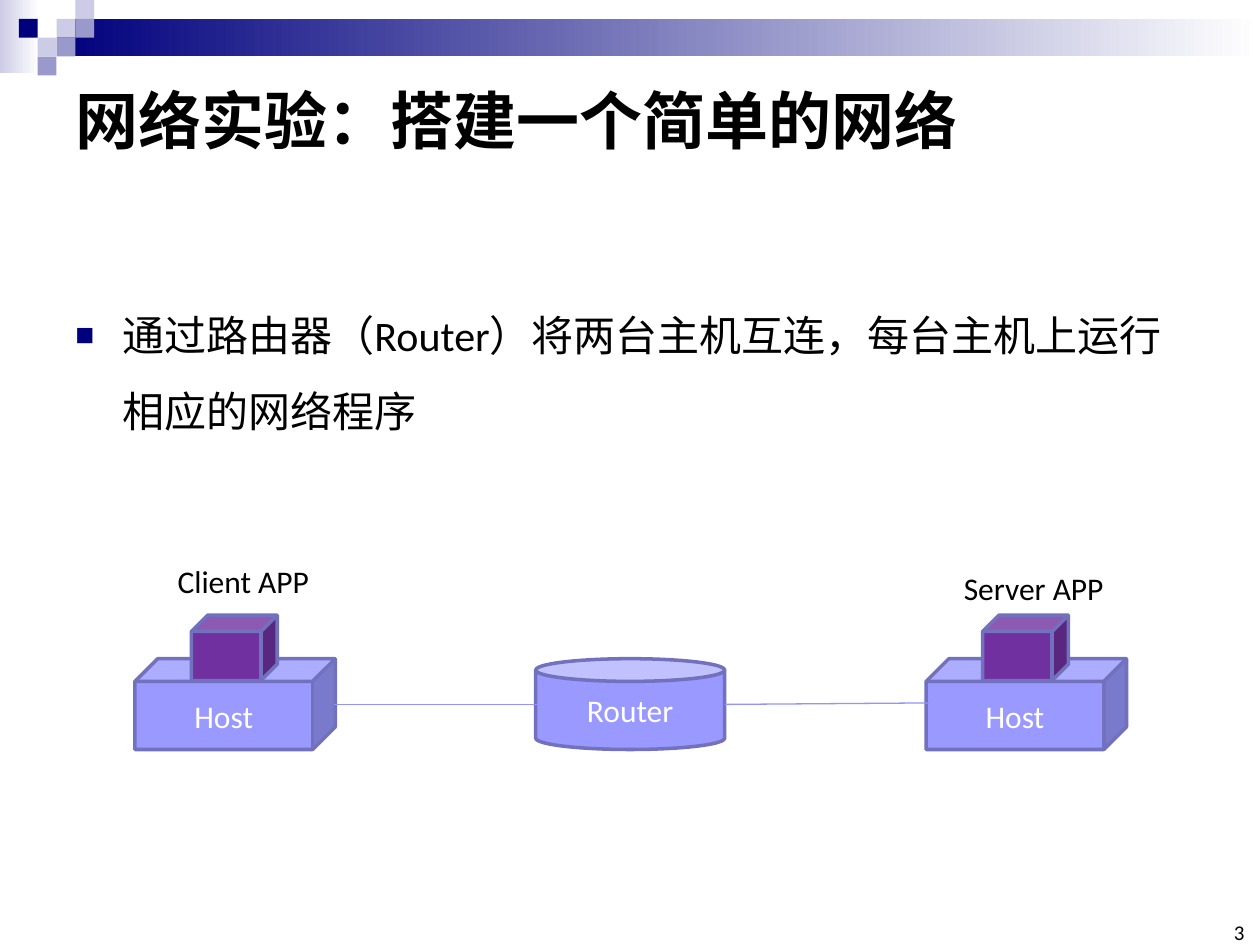
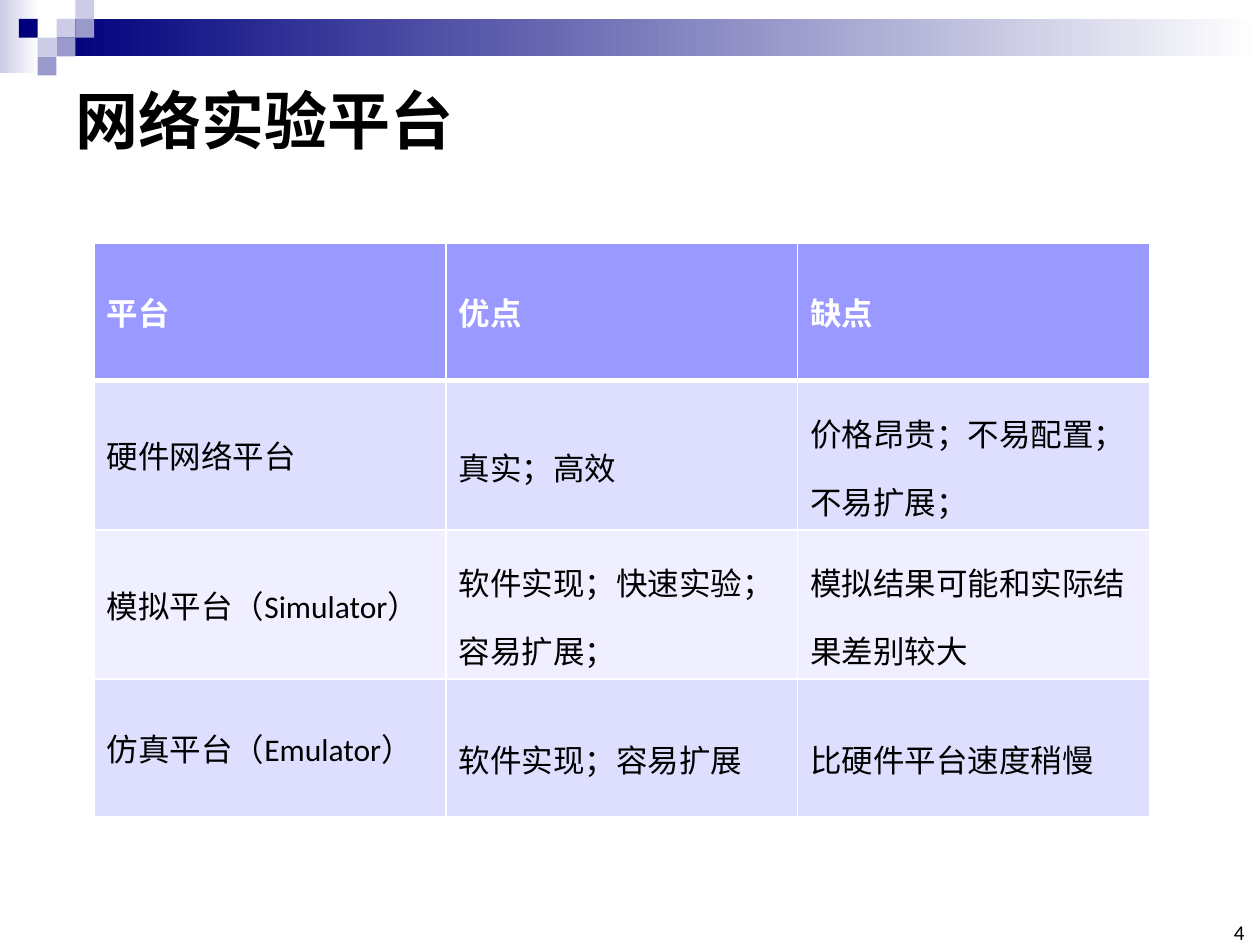
import pptx
import pptx.dml.color
import pptx.enum.shapes
import pptx.enum.text
import pptx.oxml.ns
import pptx.util
from lxml import etree

Cm = pptx.util.Cm
Pt = pptx.util.Pt
SHAPES = pptx.enum.shapes.MSO_SHAPE
ALIGN = pptx.enum.text.PP_ALIGN
ANCHOR = pptx.enum.text.MSO_ANCHOR
qn = pptx.oxml.ns.qn

FONT = "Calibri"
COLORS = {
    "navy": "00007D", "mist": "CCCCE6", "slate": "9999CC",
    "white": "FFFFFF", "black": "000000",
    "device": "9999FF", "edge": "7171BD", "cable": "9393FC", "app": "7030A0",
    "row_dark": "DEDEFF", "row_light": "EFEFFF",
}
SQUARE = 0.38  # side of a mosaic square, cm
MOSAIC = [  # column, row, colour
    (4, 0, "mist"),
    (1, 1, "navy"), (3, 1, "mist"), (4, 1, "slate"),
    (2, 2, "mist"), (3, 2, "slate"),
    (2, 3, "slate"),
]
PLATFORMS = [
    ("平台", "优点", "缺点"),
    ("硬件网络平台", "真实；高效", "价格昂贵；不易配置；不易扩展；"),
    ("模拟平台（Simulator）", "软件实现；快速实验；容易扩展；", "模拟结果可能和实际结果差别较大"),
    ("仿真平台（Emulator）", "软件实现；容易扩展", "比硬件平台速度稍慢"),
]
COLUMN_WIDTH = 7.09
ROW_HEIGHTS = (2.77, 3.01, 3.01, 2.77)  # rows with two-line cells are taller


def rgb(name):
    return pptx.dml.color.RGBColor.from_string(COLORS[name])


def write_text(frame, text, size=18, color="black", bold=False, align=ALIGN.LEFT,
               anchor=ANCHOR.TOP, spacing=None, wrap=True):
    frame.word_wrap = wrap
    frame.vertical_anchor = anchor
    para = frame.paragraphs[0]
    para.alignment = align
    if spacing:
        para.line_spacing = spacing
    span = para.add_run()
    span.text = text
    span.font.name = FONT
    span.font.size = Pt(size)
    span.font.bold = bold
    span.font.color.rgb = rgb(color)
    return para


def add_text(page, text, left, top, width, height, **text_format):
    box = page.shapes.add_textbox(Cm(left), Cm(top), Cm(width), Cm(height))
    write_text(box.text_frame, text, **text_format)
    return box


def add_block(page, kind, left, top, width, height, fill, edge=None, label=None):
    block = page.shapes.add_shape(kind, Cm(left), Cm(top), Cm(width), Cm(height))
    block.shadow.inherit = False
    if isinstance(fill, tuple):
        block.fill.gradient()
        block.fill.gradient_angle = 0
        for stop, name in zip(block.fill.gradient_stops, fill):
            stop.color.rgb = rgb(name)
    else:
        block.fill.solid()
        block.fill.fore_color.rgb = rgb(fill)
    if edge:
        block.line.color.rgb = rgb(edge)
        block.line.width = Pt(2)
    else:
        block.line.fill.background()
    if label:
        write_text(block.text_frame, label, color="white",
                   align=ALIGN.CENTER, anchor=ANCHOR.MIDDLE)
    return block


def add_cable(page, start, end):
    cable = page.shapes.add_connector(
        pptx.enum.shapes.MSO_CONNECTOR.STRAIGHT, *map(Cm, start + end))
    cable.line.color.rgb = rgb("cable")
    cable.line.width = Pt(0.75)
    etree.SubElement(cable._element.spPr, qn("a:effectLst"))


def add_bullet(para, indent):
    properties = para._p.get_or_add_pPr()
    properties.set("marL", str(Cm(indent)))
    properties.set("indent", str(-Cm(indent)))
    color = etree.SubElement(properties, qn("a:buClr"))
    etree.SubElement(color, qn("a:srgbClr"), val=COLORS["navy"])
    etree.SubElement(properties, qn("a:buSzPct"), val="75000")
    etree.SubElement(properties, qn("a:buFont"), typeface="Arial")
    etree.SubElement(properties, qn("a:buChar"), char="■")


def set_borders(cell, **widths):
    properties = cell._tc.get_or_add_tcPr()
    for side in "LRTB":
        line = etree.SubElement(properties, qn(f"a:ln{side}"),
                                w=str(Pt(widths.get(side, 1))))
        fill = etree.SubElement(line, qn("a:solidFill"))
        etree.SubElement(fill, qn("a:srgbClr"), val=COLORS["white"])


def add_page(deck, title, number):
    page = deck.slides.add_slide(deck.slide_layouts[6])
    # Band and mosaic
    add_block(page, SHAPES.RECTANGLE, 0, 0, 0.79, 1.47, ("mist", "white"))
    add_block(page, SHAPES.RECTANGLE, 3 * SQUARE, SQUARE,
              25.4 - 3 * SQUARE, 2 * SQUARE, ("navy", "white"))
    for column, row, color in MOSAIC:
        add_block(page, SHAPES.RECTANGLE, column * SQUARE, row * SQUARE,
                  SQUARE, SQUARE, color)
    # Title and page number
    add_text(page, title, 1.27, 1.27, 22.86, 2.26, size=36, bold=True,
             anchor=ANCHOR.MIDDLE)
    footer = add_text(page, str(number), 24.51, 18.62, 0.58, 0.43, size=12,
                      align=ALIGN.RIGHT, anchor=ANCHOR.BOTTOM).text_frame
    footer.margin_left = footer.margin_right = 0
    footer.margin_top = footer.margin_bottom = 0
    return page


def add_host(page, left):
    add_block(page, SHAPES.CUBE, left, 13.28, 4.04, 1.83, "device", "edge", "Host")
    add_block(page, SHAPES.CUBE, left + 1.14, 12.4, 1.73, 1.32, "app", "edge")


def add_platform_table(page, rows):
    columns = len(rows[0])
    table = page.shapes.add_table(len(rows), columns, Cm(1.9), Cm(4.9),
                                  Cm(columns * COLUMN_WIDTH),
                                  Cm(sum(ROW_HEIGHTS))).table
    for row_index, row in enumerate(rows):
        table.rows[row_index].height = Cm(ROW_HEIGHTS[row_index])
        header = row_index == 0
        fill = "device" if header else "row_dark" if row_index % 2 else "row_light"
        for column_index, text in enumerate(row):
            cell = table.cell(row_index, column_index)
            widths = {0: {"B": 3}, 1: {"T": 3}}.get(row_index, {})
            set_borders(cell, **widths)
            cell.fill.solid()
            cell.fill.fore_color.rgb = rgb(fill)
            write_text(cell.text_frame, text, bold=header,
                       color="white" if header else "black",
                       spacing=1.5 if column_index and not header else None)
            cell.vertical_anchor = ANCHOR.MIDDLE


def main():
    deck = pptx.Presentation()
    deck.slide_width, deck.slide_height = Cm(25.4), Cm(19.05)

    # Simple network
    page = add_page(deck, "网络实验：搭建一个简单的网络", 3)
    task = add_text(page, "通过路由器（Router）将两台主机互连，每台主机上运行相应的网络程序",
                    1.27, 5.61, 22.86, 3.4, size=24, spacing=1.5)
    add_bullet(task.text_frame.paragraphs[0], 0.95)
    add_block(page, SHAPES.CAN, 10.8, 13.28, 3.81, 1.83, "device", "edge", "Router")
    for left in (2.72, 18.67):
        add_host(page, left)
    add_cable(page, (6.73, 14.2), (10.87, 14.2))
    add_cable(page, (14.61, 14.2), (18.75, 14.17))
    add_text(page, "Client APP", 3.33, 11.2, 3.2, 1.02, wrap=False)
    add_text(page, "Server APP", 19.18, 11.35, 3.35, 1.02, wrap=False)

    # Platform comparison
    page = add_page(deck, "网络实验平台", 4)
    add_platform_table(page, PLATFORMS)

    deck.save("out.pptx")


if __name__ == "__main__":
    main()
